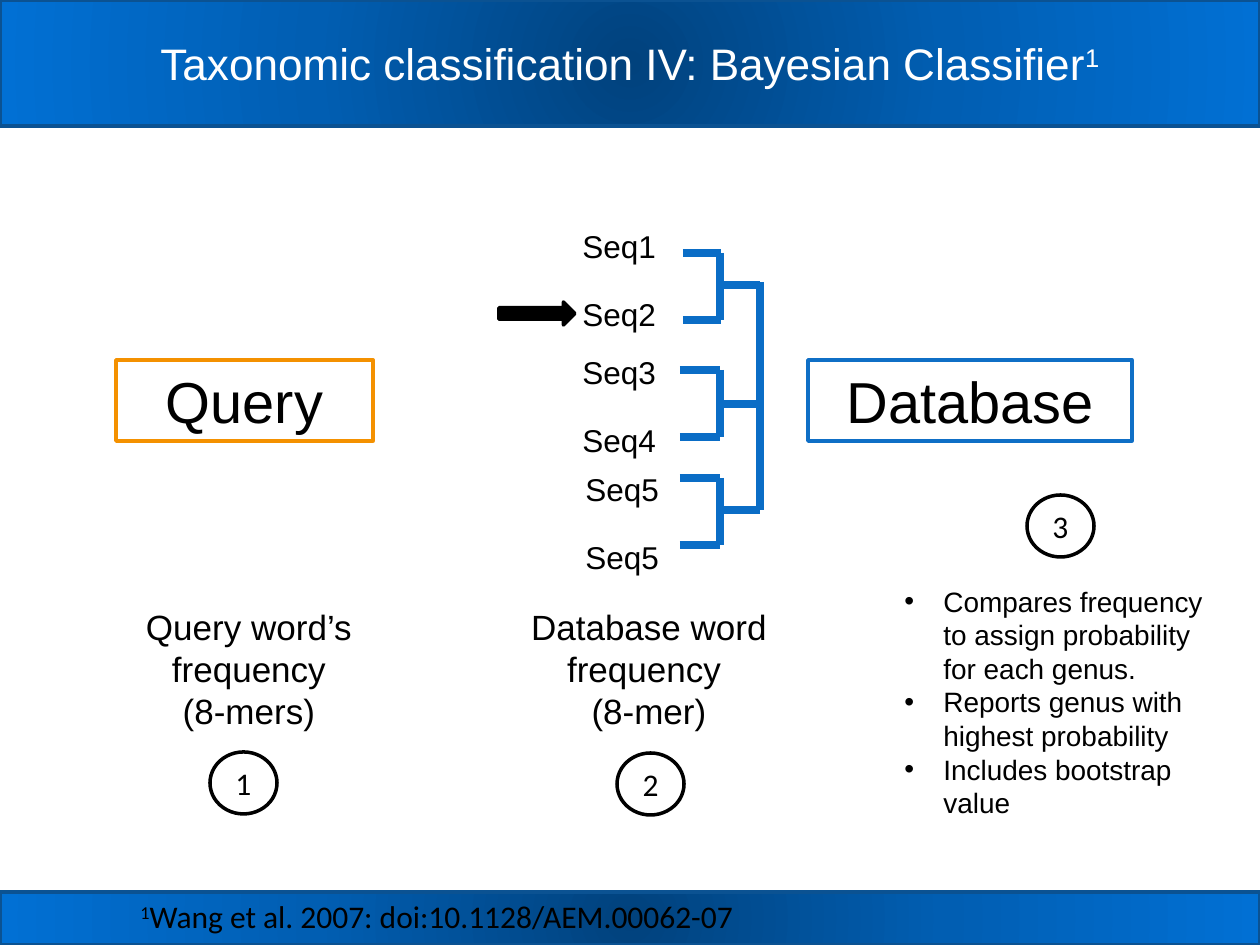
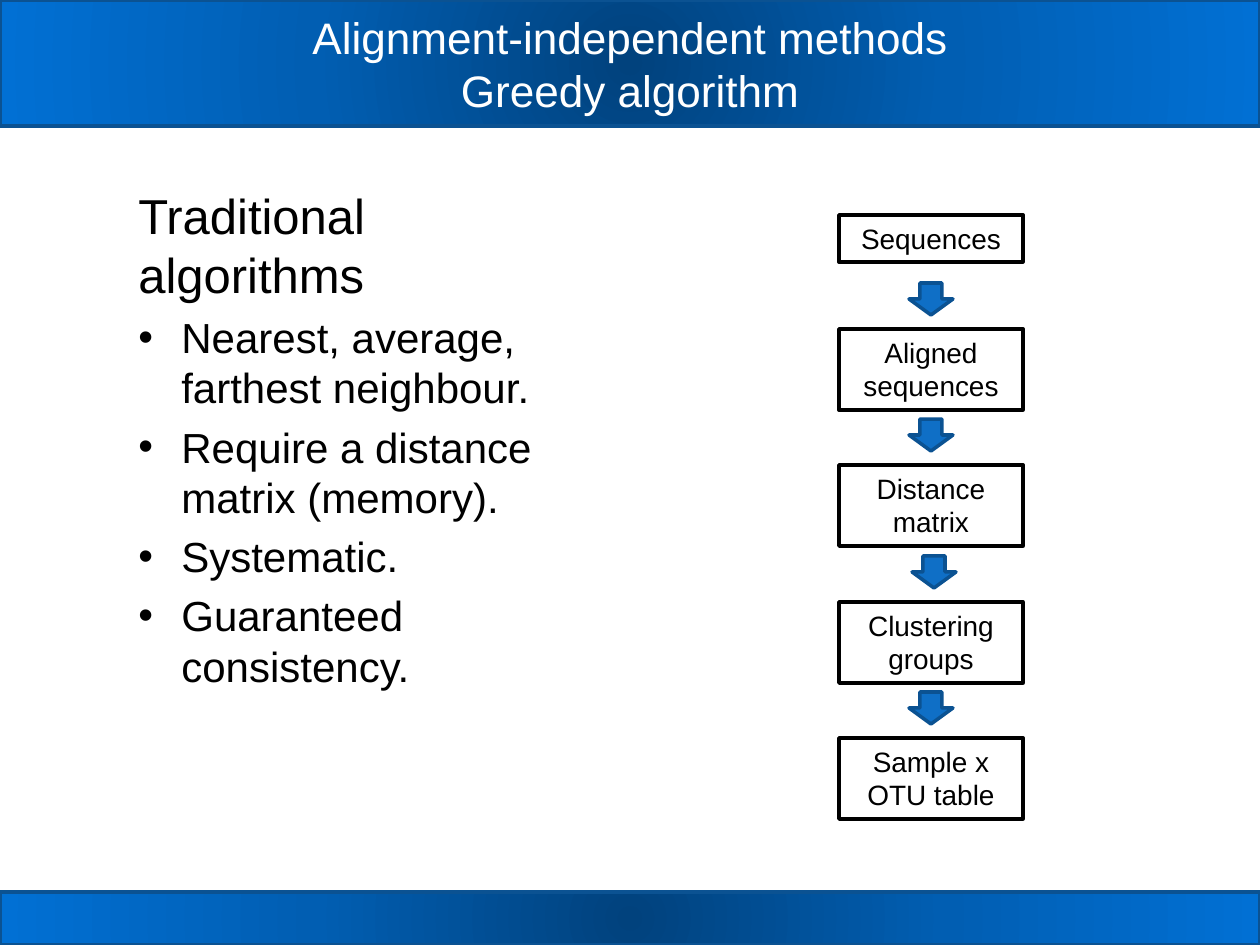
from lxml import etree
from pptx import Presentation
from pptx.dml.color import RGBColor
from pptx.enum.shapes import MSO_CONNECTOR, MSO_SHAPE
from pptx.enum.text import MSO_ANCHOR, PP_ALIGN
from pptx.oxml import parse_xml
from pptx.oxml.ns import nsdecls, qn
from pptx.util import Pt

PX = 914400 / 126

RECTANGLE = MSO_SHAPE.RECTANGLE
OVAL = MSO_SHAPE.OVAL
RIGHT_ARROW = MSO_SHAPE.RIGHT_ARROW
DOWN_ARROW = MSO_SHAPE.DOWN_ARROW
STRAIGHT = MSO_CONNECTOR.STRAIGHT
TOP = MSO_ANCHOR.TOP
MIDDLE = MSO_ANCHOR.MIDDLE
LEFT = PP_ALIGN.LEFT
CENTER = PP_ALIGN.CENTER

WHITE = RGBColor(0xFF, 0xFF, 0xFF)
BLACK = RGBColor(0x00, 0x00, 0x00)
ORANGE = RGBColor(0xF4, 0x91, 0x00)
BLUE = RGBColor(0x0F, 0x6F, 0xC6)
TREE_BLUE = RGBColor(0x0A, 0x6D, 0xC6)
EDGE_BLUE = RGBColor(0x0B, 0x52, 0x92)
BAND_STOPS = [
    (0, RGBColor(0x01, 0x42, 0x7D)),
    (50, RGBColor(0x01, 0x5E, 0xB2)),
    (100, RGBColor(0x01, 0x70, 0xD4)),
]
BAND_GRADIENT = (
    f'<a:gradFill {nsdecls("a")} rotWithShape="1"><a:gsLst>'
    + "".join(
        f'<a:gs pos="{position * 1000}"><a:srgbClr val="{color}"/></a:gs>'
        for position, color in BAND_STOPS
    )
    + '</a:gsLst><a:path path="circle">'
    '<a:fillToRect l="50000" t="50000" r="50000" b="50000"/>'
    "</a:path></a:gradFill>"
)


def add_box(slide, bounds, preset=None, fill=WHITE, line=BLACK):
    left, top, width, height = [round(length * PX) for length in bounds]
    if preset is None:
        return slide.shapes.add_textbox(left, top, width, height)
    shape = slide.shapes.add_shape(preset, left, top, width, height)
    shape.shadow.inherit = False
    shape.fill.solid()
    shape.fill.fore_color.rgb = fill
    shape.line.color.rgb = line
    shape.line.width = Pt(2)
    return shape


def write_text(shape, text, size=18, font="Arial", color=BLACK, align=LEFT,
               anchor=TOP, wrap=True, bullet_indent=0, space_before=0):
    """Each line is a paragraph; text between carets is superscript."""
    frame = shape.text_frame
    frame.word_wrap = wrap
    frame.vertical_anchor = anchor
    for index, line in enumerate(text.split("\n")):
        if index or frame.text:
            paragraph = frame.add_paragraph()
        else:
            paragraph = frame.paragraphs[0]
        paragraph.alignment = align
        paragraph.space_before = Pt(space_before)
        if bullet_indent:
            properties = paragraph._p.get_or_add_pPr()
            indent = round(bullet_indent * PX)
            properties.set("marL", str(indent))
            properties.set("indent", str(-indent))
            etree.SubElement(properties, qn("a:buFont")).set("typeface", "Arial")
            etree.SubElement(properties, qn("a:buChar")).set("char", "•")
        for part_index, part in enumerate(line.split("^")):
            if not part:
                continue
            run = paragraph.add_run()
            run.text = part
            run.font.size = Pt(size)
            run.font.name = font
            run.font.color.rgb = color
            if part_index % 2:
                run._r.get_or_add_rPr().set("baseline", "30000")


presentation = Presentation()
presentation.slide_width = round(1260 * PX)
presentation.slide_height = round(945 * PX)
blank_layout = presentation.slide_layouts[6]

titles = [
    "Taxonomic classification IV: Bayesian Classifier^1^",
    "Alignment-independent methods\nGreedy algorithm",
]
slides = []
for title in titles:
    slide = presentation.slides.add_slide(blank_layout)
    for top, height in [(0, 126), (892, 53)]:
        band = add_box(slide, (0, top, 1260, height), RECTANGLE, line=EDGE_BLUE)
        solid_fill = band._element.spPr.find(qn("a:solidFill"))
        band._element.spPr.replace(solid_fill, parse_xml(BAND_GRADIENT))
    write_text(add_box(slide, (126, 0, 1008, 126)), title, size=25.2,
               color=WHITE, align=CENTER, anchor=MIDDLE)
    slides.append(slide)
classifier_slide, greedy_slide = slides

for text, left, width, outline in [
    ("Query", 116, 257, ORANGE),
    ("Database", 808, 324, BLUE),
]:
    box = add_box(classifier_slide, (left, 360, width, 81), RECTANGLE, line=outline)
    write_text(box, text, size=33, align=CENTER)

leaf_x, node_x, trunk_x = 680, 720, 760
branch_height = 67
branches = [(253, 285, 3), (370, 404, 0), (478, 510, 0)]
tree_lines = [(trunk_x, 282, trunk_x, 510)]
for top, joint, shift in branches:
    bottom = top + branch_height
    tree_lines += [
        (node_x, top, node_x, bottom),
        (node_x, joint, trunk_x, joint),
        (leaf_x + shift, top, node_x + shift // 2, top),
        (leaf_x + shift, bottom, node_x + shift // 2, bottom),
    ]
for ends in tree_lines:
    connector = classifier_slide.shapes.add_connector(
        STRAIGHT, *[round(length * PX) for length in ends])
    connector.line.color.rgb = TREE_BLUE
    connector.line.width = Pt(4.5)
    etree.SubElement(connector._element.spPr, qn("a:effectLst"))

for left, top, names in [
    (570, 221, ("Seq1", "Seq2")),
    (570, 347, ("Seq3", "Seq4")),
    (573, 464, ("Seq5", "Seq5")),
]:
    for row, name in enumerate(names):
        write_text(add_box(classifier_slide, (left, top + 68 * row, 111, 50)), name)
add_box(classifier_slide, (499, 302, 76, 23), RIGHT_ARROW, fill=BLACK)

citation = add_box(classifier_slide, (128, 891, 624, 49))
write_text(citation, "^1^Wang et al. 2007: doi:10.1128/AEM.00062-07",
           font="Calibri", wrap=False)

for left, text in [
    (109, "Query word’s frequency\n(8-mers)"),
    (509, "Database word frequency \n(8-mer)"),
]:
    write_text(add_box(classifier_slide, (left, 599, 280, 139)), text,
               size=20, align=CENTER)

for number, (left, top) in enumerate([(210, 752), (617, 753), (1027, 495)], 1):
    badge = add_box(classifier_slide, (left, top, 67, 62), OVAL)
    write_text(badge, str(number), font="Calibri", align=CENTER, anchor=MIDDLE)

write_text(
    add_box(classifier_slide, (892, 578, 336, 249)),
    "Compares frequency to assign probability for each genus.\n"
    "Reports genus with highest probability\n"
    "Includes bootstrap value",
    size=16, bullet_indent=39)

traditional = add_box(greedy_slide, (126, 179, 489, 672))
write_text(traditional, "Traditional algorithms", size=28, space_before=5)
write_text(
    traditional,
    "Nearest, average, farthest neighbour.\n"
    "Require a distance matrix (memory).\n"
    "Systematic.\n"
    "Guaranteed consistency.",
    size=24, bullet_indent=43, space_before=5)

steps = ["Aligned sequences", "Distance\nmatrix", "Clustering groups",
         "Sample x OTU table"]
first_box = add_box(greedy_slide, (839, 215, 184, 47), RECTANGLE)
write_text(first_box, "Sequences", size=16, align=CENTER)
for index, step in enumerate(steps):
    offset = index * 273 // 2
    box = add_box(greedy_slide, (839, 329 + offset, 184, 81), RECTANGLE)
    write_text(box, step, size=16, align=CENTER)
    arrow_left = 912 if step.startswith("Distance") else 909
    if step.startswith("Clustering"):
        arrow_left = 912
    elif step.startswith("Distance"):
        arrow_left = 909
    add_box(greedy_slide, (arrow_left, 283 + offset, 44, 32), DOWN_ARROW,
            fill=BLUE, line=EDGE_BLUE)

presentation.save("out.pptx")
